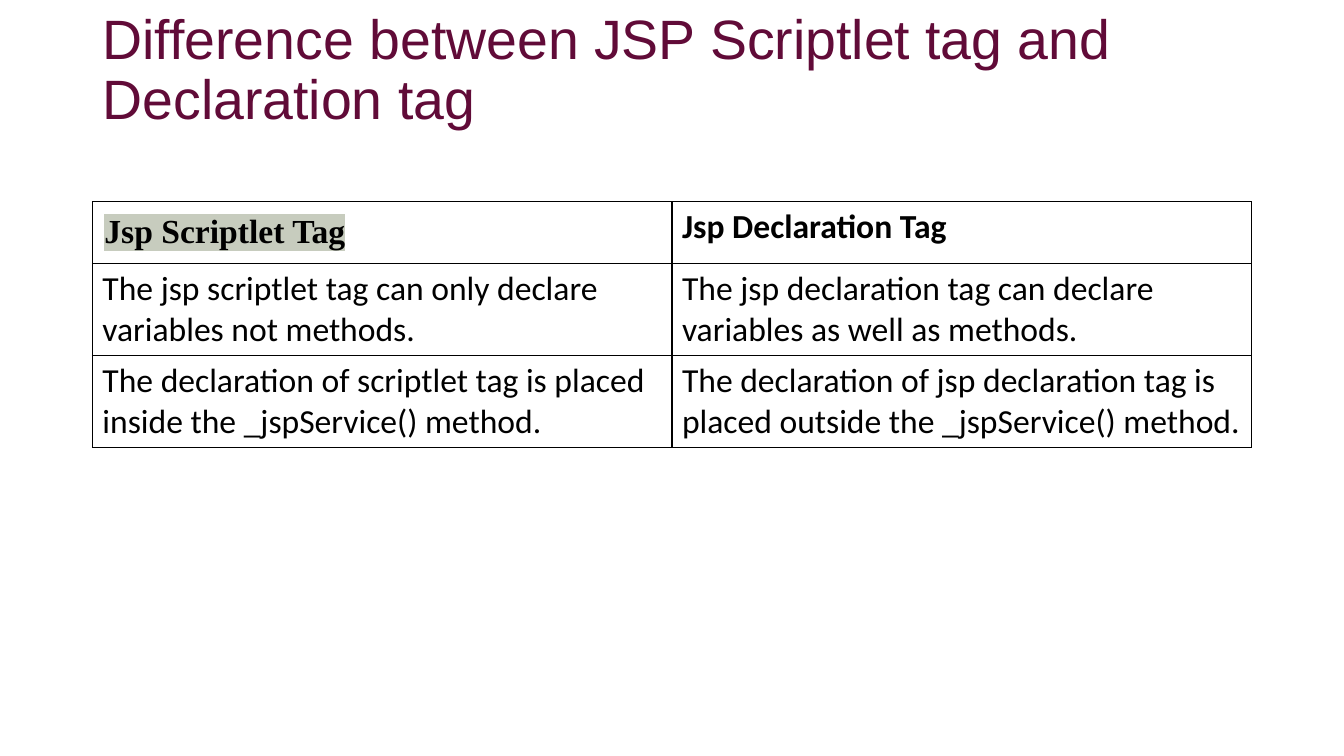
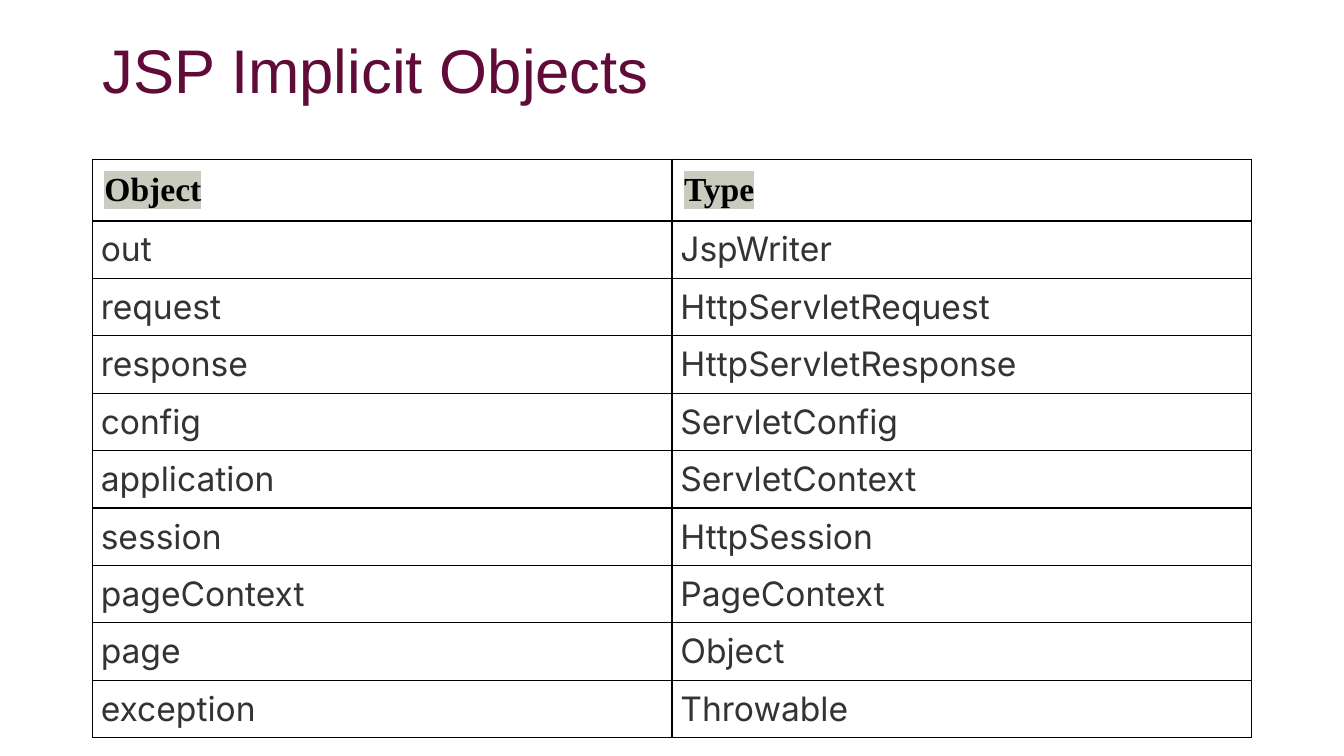
from lxml import etree
from pptx import Presentation
from pptx.dml.color import RGBColor
from pptx.enum import text
from pptx.oxml import ns
from pptx.util import Pt

COLORS = {"title": "610B38", "ink": "000000", "soft": "333333", "mark": "C7CCBE"}
LEFT, WIDTH = 66, 828

# Cell formats: font values, highlight, insets (horizontal, vertical), alignment
MARKED = {"font": {"name": "Times New Roman", "bold": True}, "color": "ink",
          "mark": "mark", "insets": (8.6, 8.6)}
BOLD = {"font": {"name": "Calibri", "bold": True}, "color": "ink", "insets": (7.2, 3.6)}
PLAIN = {**BOLD, "font": {"name": "Calibri", "bold": False}}
LISTED = {"font": {"name": "Inter", "bold": False}, "color": "soft",
          "insets": (6, 6), "align": text.PP_ALIGN.JUSTIFY}

TAG_ROWS = [
    ("Jsp Scriptlet Tag", "Jsp Declaration Tag"),
    ("The jsp scriptlet tag can only declare variables not methods.",
     "The jsp declaration tag can declare variables as well as methods."),
    ("The declaration of scriptlet tag is placed inside the _jspService() method.",
     "The declaration of jsp declaration tag is placed outside the _jspService() method."),
]
OBJECT_ROWS = [
    ("Object", "Type"),
    ("out", "JspWriter"),
    ("request", "HttpServletRequest"),
    ("response", "HttpServletResponse"),
    ("config", "ServletConfig"),
    ("application", "ServletContext"),
    ("session", "HttpSession"),
    ("pageContext", "PageContext"),
    ("page", "Object"),
    ("exception", "Throwable"),
]


def set_values(target, values):
    for name, value in values.items():
        setattr(target, name, value)


class Deck:
    def __init__(self):
        self.presentation = Presentation()
        set_values(self.presentation, {"slide_width": Pt(960), "slide_height": Pt(540)})
        self.slide = None

    def add_slide(self):
        layout = self.presentation.slide_layouts.get_by_name("Title Only")
        self.slide = self.presentation.slides.add_slide(layout)

    def add_words(self, paragraph, words, size, font, color, mark=None):
        run = paragraph.add_run()
        run.text = words
        set_values(run.font, {"size": Pt(size), **font})
        run.font.color.rgb = RGBColor.from_string(COLORS[color])
        if mark:
            highlight = etree.Element(ns.qn("a:highlight"))
            etree.SubElement(highlight, ns.qn("a:srgbClr"), val=COLORS[mark])
            run.font._element.find(ns.qn("a:solidFill")).addnext(highlight)

    def title(self, words, top, height, size, bottom_inset=3.6):
        shape = self.slide.shapes.title
        set_values(shape, {"left": Pt(LEFT), "top": Pt(top),
                           "width": Pt(WIDTH), "height": Pt(height)})
        set_values(shape.text_frame, {
            "auto_size": text.MSO_AUTO_SIZE.NONE, "word_wrap": True,
            "vertical_anchor": text.MSO_ANCHOR.MIDDLE,
            "margin_bottom": Pt(bottom_inset)})
        paragraph = shape.text_frame.paragraphs[0]
        set_values(paragraph, {"alignment": text.PP_ALIGN.LEFT, "line_spacing": 0.9})
        self.add_words(paragraph, words, size, {"name": "Arial"}, "title")

    def border(self, cell):
        properties = cell._tc.get_or_add_tcPr()
        for index, side in enumerate(("lnL", "lnR", "lnT", "lnB")):
            line = etree.Element(ns.qn(f"a:{side}"), w=str(Pt(1)))
            fill = etree.SubElement(line, ns.qn("a:solidFill"))
            etree.SubElement(fill, ns.qn("a:srgbClr"), val=COLORS["ink"])
            properties.insert(index, line)

    def cell(self, cell, words, style):
        across, down = (Pt(inset) for inset in style["insets"])
        set_values(cell, {"margin_left": across, "margin_right": across,
                          "margin_top": down, "margin_bottom": down})
        cell.fill.background()
        self.border(cell)
        paragraph = cell.text_frame.paragraphs[0]
        paragraph.alignment = style.get("align", text.PP_ALIGN.LEFT)
        self.add_words(paragraph, words, 24, style["font"], style["color"],
                       style.get("mark"))

    def table(self, rows, top, row_height, header_styles, body_style):
        heights = [44] + [row_height] * (len(rows) - 1)
        table = self.slide.shapes.add_table(
            len(rows), len(rows[0]), Pt(LEFT), Pt(top), Pt(WIDTH), Pt(sum(heights))).table
        set_values(table, {"first_row": False, "horz_banding": False})
        for row_index, words in enumerate(rows):
            table.rows[row_index].height = Pt(heights[row_index])
            for column, entry in enumerate(words):
                style = body_style if row_index else header_styles[column]
                self.cell(table.cell(row_index, column), entry, style)


def main():
    deck = Deck()
    deck.add_slide()
    deck.title("Difference between JSP Scriptlet tag and Declaration tag",
               12, 121, 39.6, bottom_inset=46)
    deck.table(TAG_ROWS, 144, 65.6, (MARKED, BOLD), PLAIN)

    deck.add_slide()
    deck.title("JSP Implicit Objects", 0, 104.4, 44)
    deck.table(OBJECT_ROWS, 113.8, 41, (MARKED, MARKED), LISTED)
    deck.presentation.save("out.pptx")


if __name__ == "__main__":
    main()
